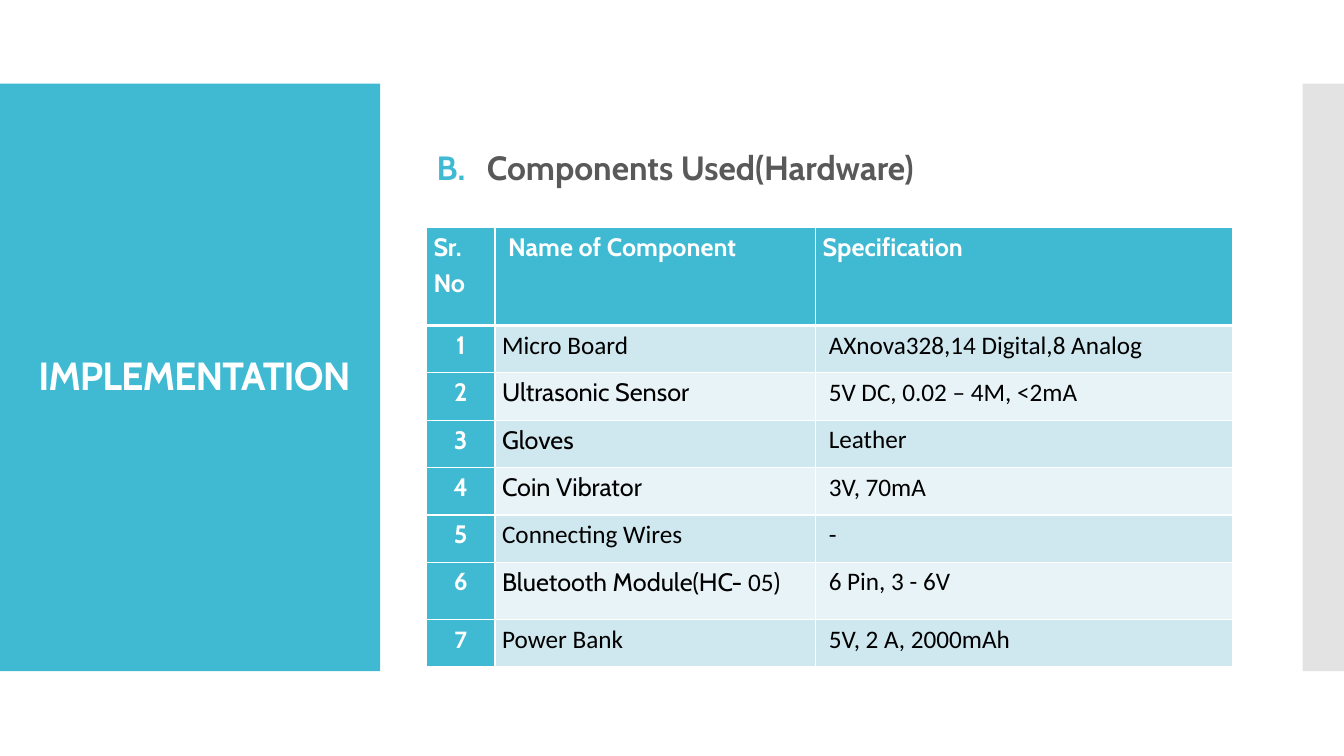
import pptx
import pptx.dml.color
import pptx.enum.shapes
import pptx.enum.text
import pptx.oxml
import pptx.oxml.ns
import pptx.util
from pptx.util import Inches

RGBColor = pptx.dml.color.RGBColor
TEAL = RGBColor(0x40, 0xBA, 0xD2)
SILVER = RGBColor(0xC8, 0xC8, 0xC8)
GREY = RGBColor(0x59, 0x59, 0x59)
WHITE = RGBColor(0xFF, 0xFF, 0xFF)
BLACK = RGBColor(0, 0, 0)
DARK_BAND = RGBColor(0xCF, 0xE7, 0xEE)
LIGHT_BAND = RGBColor(0xE8, 0xF3, 0xF7)
MIDDLE = pptx.enum.text.MSO_ANCHOR.MIDDLE
LEFT = pptx.enum.text.PP_ALIGN.LEFT
CENTER = pptx.enum.text.PP_ALIGN.CENTER


def add_span(para, text, size, font, color, bold):
    span = para.add_run()
    span.text = text
    span.font.size = pptx.util.Pt(size)
    span.font.name = font
    span.font.color.rgb = color
    span.font.bold = bold
    return span


def add_xml(parent, xml, position=None):
    """Insert a DrawingML element, at the end unless a position is given."""
    name, rest = xml.split(" ", 1)
    namespace = pptx.oxml.ns.nsdecls("a")
    element = pptx.oxml.parse_xml(f"{name} {namespace} {rest}")
    parent.insert(len(parent) if position is None else position, element)


deck = pptx.Presentation()
deck.slide_width = Inches(13.33)
deck.slide_height = Inches(7.5)
page = deck.slides.add_slide(deck.slide_layouts[1])
title, body = page.placeholders

# Side panels, behind the placeholders
for left, width, color in [(0, 3.77, TEAL), (12.92, 0.41, SILVER)]:
    panel = page.shapes.add_shape(
        pptx.enum.shapes.MSO_SHAPE.RECTANGLE,
        Inches(left), Inches(0.83), Inches(width), Inches(5.83))
    panel.shadow.inherit = False
    panel.fill.solid()
    panel.fill.fore_color.rgb = color
    panel.line.fill.background()
    title.element.addprevious(panel.element)
    if color == SILVER:
        fill_color = panel.element.find(".//" + pptx.oxml.ns.qn("a:srgbClr"))
        add_xml(fill_color, '<a:alpha val="50000"/>')

# Title and section heading
for box, bounds in [(title, (0.28, 1.23, 3.38, 5.03)),
                    (body, (4.23, 1.38, 8, 0.6))]:
    box.left, box.top, box.width, box.height = map(Inches, bounds)
    box.text_frame.vertical_anchor = MIDDLE
    box.text_frame.word_wrap = True
    box.text_frame.auto_size = pptx.enum.text.MSO_AUTO_SIZE.NONE
    para = box.text_frame.paragraphs[0]
    para.alignment = LEFT
    para.line_spacing = 0.9
    para.space_before = pptx.util.Pt(0)

span = add_span(title.text_frame.paragraphs[0], "IMPLEMENTATION",
                28, "Cabin", WHITE, True)
span.font.element.set("spc", "-60") if hasattr(span.font, "element") else \
    span._r.get_or_add_rPr().set("spc", "-60")

heading = body.text_frame.paragraphs[0]
heading_format = heading._p.get_or_add_pPr()
heading_format.set("marL", str(Inches(0.5)))
heading_format.set("indent", str(Inches(-0.5)))
add_xml(heading_format, f'<a:buClr ><a:srgbClr val="{TEAL}"/></a:buClr>')
add_xml(heading_format, '<a:buFont typeface="+mj-lt"/>')
add_xml(heading_format, '<a:buAutoNum type="alphaUcPeriod" startAt="2"/>')
add_span(heading, "Components Used(Hardware)", 24, "Cabin", GREY, True)

# Components table: each component name is a list of (text, font) spans
header = ["Sr. No", "Name of Component", "Specification"]
components = [
    ([("Micro Board", "Calibri")], "AXnova328,14 Digital,8 Analog"),
    ([("Ultrasonic Sensor", "Cabin")], "5V DC, 0.02 – 4M, <2mA"),
    ([("Gloves", "Cabin")], "Leather"),
    ([("Coin Vibrator", "Cabin")], "3V, 70mA"),
    ([("Connecting Wires", "Calibri")], "-"),
    ([("Bluetooth Module(HC- ", "Cabin"), ("05", "Calibri"), (")", "Cabin")],
     "6 Pin, 3 - 6V"),
    ([("Power Bank", "Calibri")], "5V, 2 A, 2000mAh"),
]
rows = [[[(text, "Cabin")] for text in header]]
for number, (name, specification) in enumerate(components, 1):
    number_font = "Cabin" if number < 6 else "Calibri"
    rows.append([[(str(number), number_font)], name,
                 [(specification, "Calibri")]])

table = page.shapes.add_table(len(rows), len(header), Inches(4.23),
                              Inches(2.26), Inches(8), Inches(4.38)).table
for column, width in zip(table.columns, [0.68, 3.18, 4.14]):
    column.width = Inches(width)
for row, height in zip(table.rows, [0.97] + [0.47] * 5 + [0.57, 0.47]):
    row.height = Inches(height)

indented_cells = {(0, 1)} | {(r, 2) for r in range(1, len(rows))}
for r, row in enumerate(rows):
    for c, spans in enumerate(row):
        cell = table.cell(r, c)
        is_heading = r == 0 or c == 0
        cell.margin_left = Inches(0.13 if (r, c) in indented_cells else 0.07)
        cell.margin_right = Inches(0.07)
        cell.margin_top = cell.margin_bottom = 0
        cell.fill.solid()
        band = DARK_BAND if r % 2 else LIGHT_BAND
        cell.fill.fore_color.rgb = TEAL if is_heading else band
        para = cell.text_frame.paragraphs[0]
        para.alignment = CENTER if r and c == 0 else LEFT
        para.line_spacing = 1.15
        for text, font in spans:
            add_span(para, text, 18, font,
                     WHITE if is_heading else BLACK, is_heading)
        for position, side in enumerate("LRTB"):
            thick = (r, side) in [(0, "B"), (1, "T")]
            line_width = pptx.util.Pt(3 if thick else 1)
            add_xml(cell._tc.get_or_add_tcPr(),
                    f'<a:ln{side} w="{line_width}"><a:solidFill>'
                    f'<a:srgbClr val="{WHITE}"/></a:solidFill></a:ln{side}>',
                    position)

deck.save("out.pptx")
